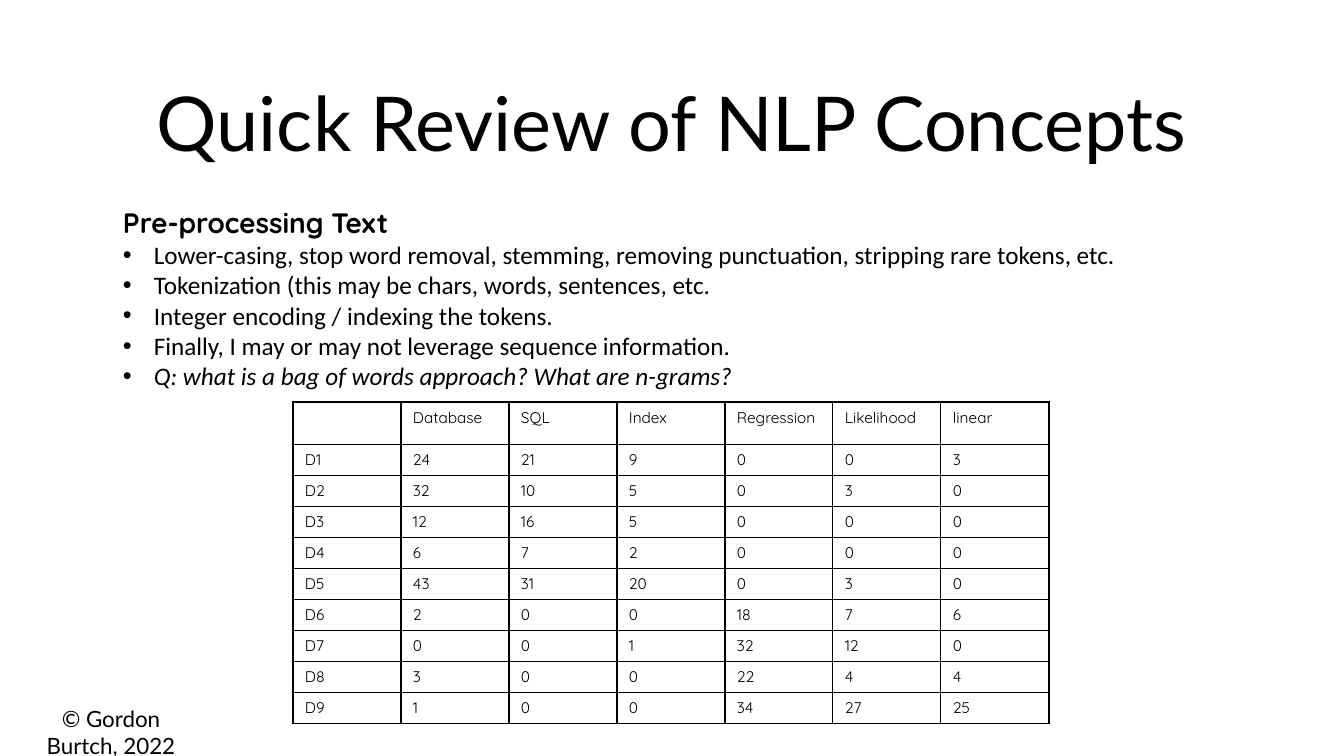
from lxml import etree
from pptx import Presentation
from pptx.dml.color import RGBColor
from pptx.enum.text import MSO_ANCHOR, MSO_AUTO_SIZE, PP_ALIGN
from pptx.oxml.ns import qn
from pptx.util import Emu, Pt

LEFT, CENTER = PP_ALIGN.LEFT, PP_ALIGN.CENTER
TOP = MSO_ANCHOR.TOP
NO_FIT = MSO_AUTO_SIZE.NONE
BLACK = "000000"
TITLE_ONLY = 5


def px(count):
    return Emu(round(count * 914400 / 100.8))


def write(para, text, font="Calibri", size=18, bold=False, italic=False,
          color=BLACK, align=LEFT, bullet=False):
    para.alignment = align
    span = para.add_run()
    span.text = text
    span.font.name = font
    span.font.size = Pt(size)
    span.font.bold = bold
    span.font.italic = italic
    span.font.color.rgb = RGBColor.from_string(color)
    if bullet:
        props = para._p.get_or_add_pPr()
        props.set("marL", str(px(31)))
        props.set("indent", str(-px(31)))
        etree.SubElement(props, qn("a:buFont"), typeface="Arial")
        etree.SubElement(props, qn("a:buChar"), char="•")


deck = Presentation()
deck.slide_width, deck.slide_height = px(1344), px(756)
page = deck.slides.add_slide(deck.slide_layouts[TITLE_ONLY])

# Title
title = page.shapes.title
title.left, title.top, title.width, title.height = px(146), px(71), px(1051), px(102)
title.text_frame.auto_size = NO_FIT
title.text_frame.vertical_anchor = TOP
write(title.text_frame.paragraphs[0], "Quick Review of NLP Concepts",
      font="Lato", size=54, align=CENTER)

# Copyright line
credit = page.shapes.add_textbox(px(18), px(700), px(186), px(37))
credit.text_frame.word_wrap = True
write(credit.text_frame.paragraphs[0], "© Gordon Burtch, 2022",
      font="Lato", size=16, align=CENTER)

# Heading and bullets
body = page.shapes.add_textbox(px(113), px(201), px(1040), px(197)).text_frame
body.word_wrap = True
write(body.paragraphs[0], "Pre-processing Text", font="Quicksand", size=20, bold=True)
steps = [
    "Lower-casing, stop word removal, stemming, removing punctuation, stripping rare tokens, etc.",
    "Tokenization (this may be chars, words, sentences, etc.",
    "Integer encoding / indexing the tokens.",
    "Finally, I may or may not leverage sequence information.",
]
for step in steps:
    write(body.add_paragraph(), step, bullet=True)
write(body.add_paragraph(), "Q: what is a bag of words approach? What are n-grams?",
      italic=True, bullet=True)

# Document-term table
terms = ["", "Database", "SQL", "Index", "Regression", "Likelihood", "linear"]
counts = [
    [24, 21, 9, 0, 0, 3],
    [32, 10, 5, 0, 3, 0],
    [12, 16, 5, 0, 0, 0],
    [6, 7, 2, 0, 0, 0],
    [43, 31, 20, 0, 3, 0],
    [2, 0, 0, 18, 7, 6],
    [0, 0, 1, 32, 12, 0],
    [3, 0, 0, 22, 4, 4],
    [1, 0, 0, 34, 27, 25],
]
rows = [terms] + [[f"D{number}", *values] for number, values in enumerate(counts, 1)]
column_width, row_height = 108, 31
table = page.shapes.add_table(
    len(rows), len(terms), px(293), px(402),
    px(column_width * len(terms)), px(row_height * len(rows))).table
table.first_row = False
table.horz_banding = False
for column in table.columns:
    column.width = px(column_width)
for row in table.rows:
    row.height = px(row_height)

for row_index, values in enumerate(rows):
    for column_index, value in enumerate(values):
        cell = table.cell(row_index, column_index)
        cell.margin_left = cell.margin_right = px(12)
        cell.margin_top = cell.margin_bottom = px(6)
        write(cell.text_frame.paragraphs[0], str(value), font="Quicksand", size=11)

        # Thick outer edge on the left, top and right; thin lines elsewhere
        thick_edges = {
            "lnL": column_index == 0,
            "lnR": column_index == len(terms) - 1,
            "lnT": row_index == 0,
            "lnB": False,
        }
        props = cell._tc.get_or_add_tcPr()
        for edge, thick in thick_edges.items():
            line = etree.SubElement(props, qn(f"a:{edge}"), w=str(Pt(2.25 if thick else 1)))
            fill = etree.SubElement(line, qn("a:solidFill"))
            etree.SubElement(fill, qn("a:srgbClr"), val=BLACK)
        cell.fill.background()

deck.save("out.pptx")
